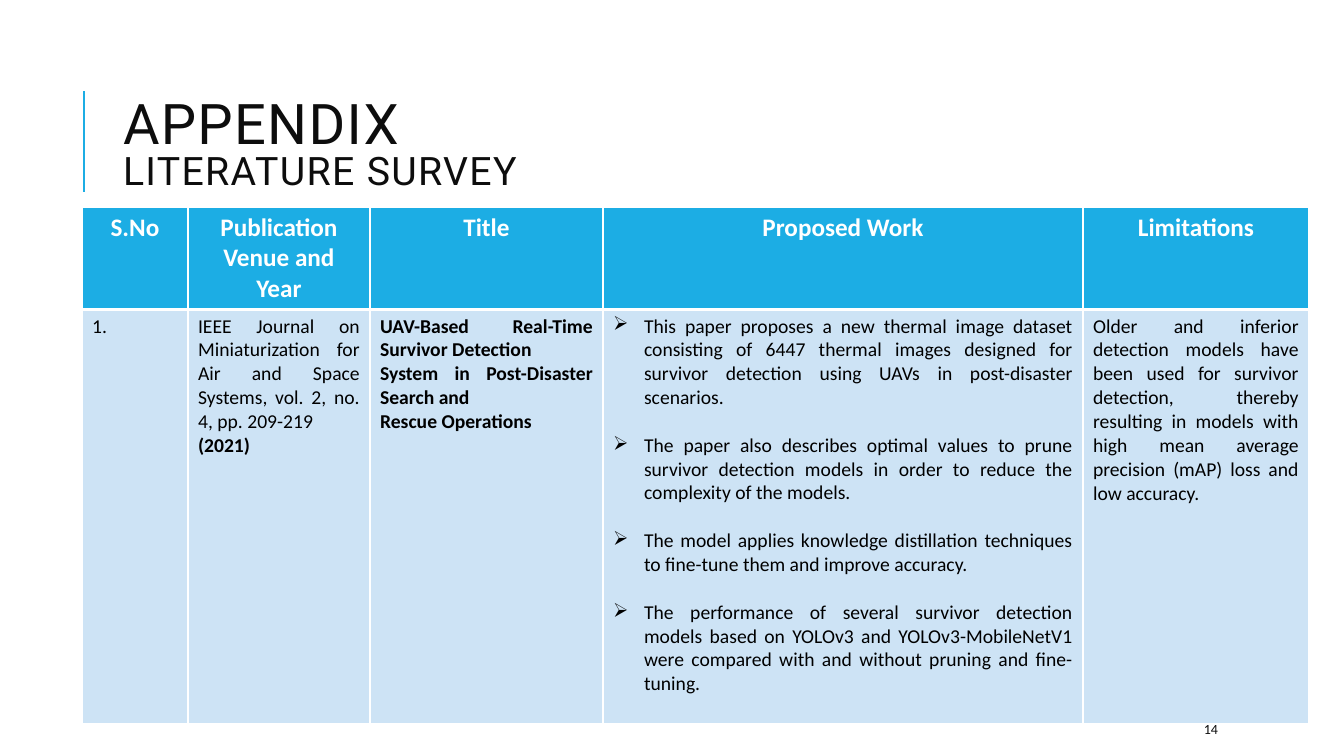
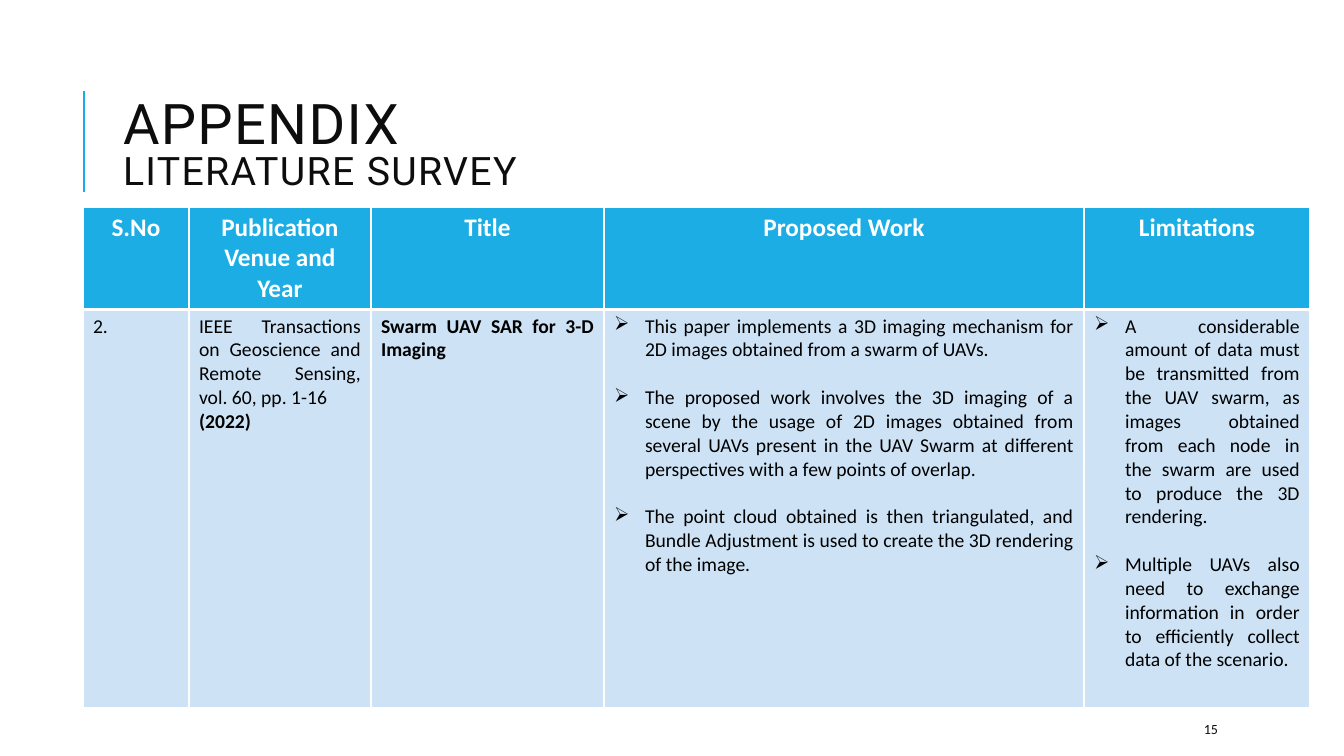
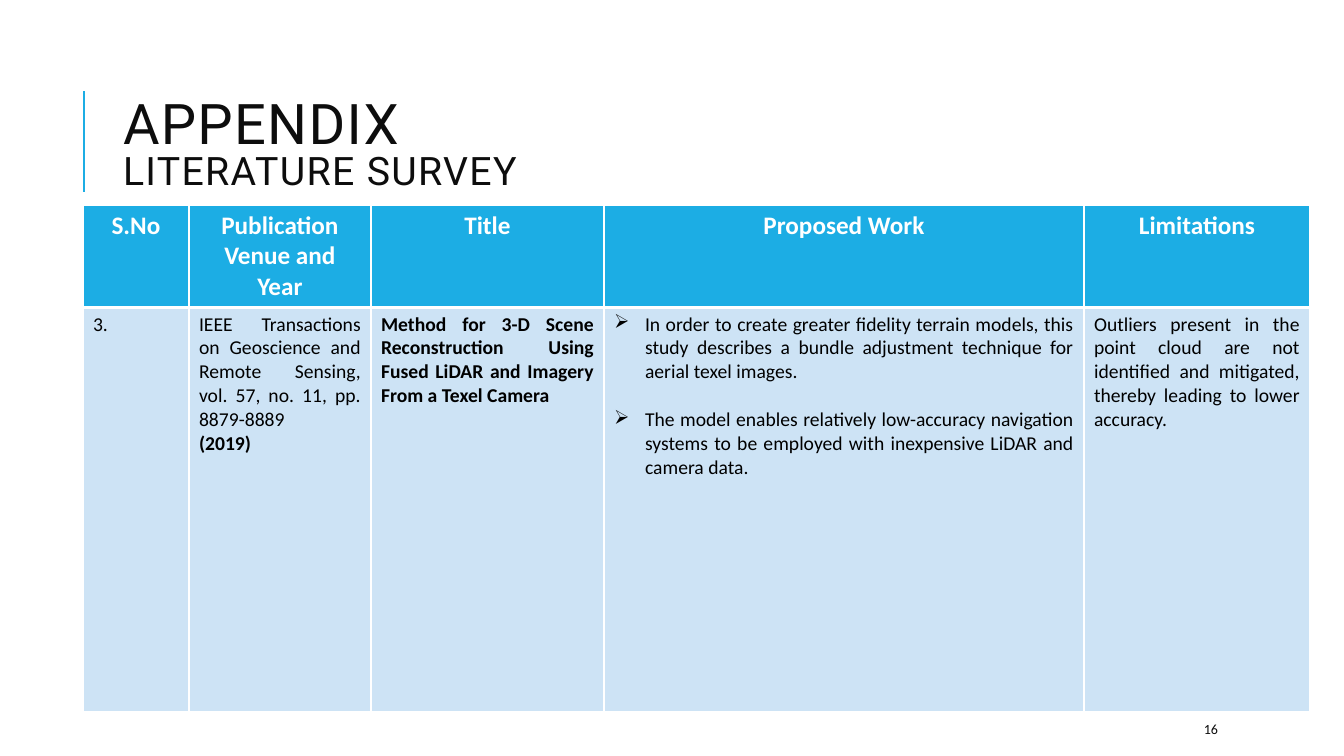
from copy import deepcopy
from dataclasses import dataclass

from lxml.etree import SubElement
from pptx import Presentation
from pptx.dml.color import RGBColor
from pptx.enum.shapes import MSO_CONNECTOR
from pptx.enum.text import MSO_ANCHOR, MSO_AUTO_SIZE, PP_ALIGN
from pptx.oxml.ns import qn
from pptx.util import Emu, Pt

# Shared style
COLORS = {
    "accent": "1CADE4",
    "body": "CDE3F5",
    "white": "FFFFFF",
    "black": "000000",
    "ink": "0D0D0D",
}
TITLE_FONT = "Roboto"
TEXT_FONT = "Calibri"
EMU_PER_PX = 914400 / 100.8
COLUMN_WIDTHS = (106, 182, 233, 480, 226)
HEADINGS = ("S.No", "Publication Venue and Year", "Title", "Proposed Work", "Limitations")
BULLET_INDENT = 31
BULLET_GAP = 17


@dataclass
class Survey:
    page_number: int
    corner: tuple
    row_heights: tuple
    number: str
    venue: str
    year: str
    title_lines: list
    work: list
    limitations: list


SURVEYS = [
    Survey(
        14, (82, 207), (97, 414), "1.",
        "IEEE Journal on Miniaturization for Air and Space Systems, vol. 2, no. 4, pp. 209-219",
        "(2021)",
        ["UAV-Based Real-Time Survivor Detection",
         "System in Post-Disaster Search and",
         "Rescue Operations"],
        ["This paper proposes a new thermal image dataset consisting of 6447 thermal images "
         "designed for survivor detection using UAVs in post-disaster scenarios.",
         "The paper also describes optimal values to prune survivor detection models in order "
         "to reduce the complexity of the models.",
         "The model applies knowledge distillation techniques to fine-tune them and improve "
         "accuracy.",
         "The performance of several survivor detection models based on YOLOv3 and "
         "YOLOv3-MobileNetV1 were compared with and without pruning and fine-tuning."],
        ["Older and inferior detection models have been used for survivor detection, thereby "
         "resulting in models with high mean average precision (mAP) loss and low accuracy."],
    ),
    Survey(
        15, (83, 207), (95, 398), "2.",
        "IEEE Transactions on Geoscience and Remote Sensing, vol. 60, pp. 1-16",
        "(2022)",
        ["Swarm UAV SAR for 3-D Imaging"],
        ["This paper implements a 3D imaging mechanism for 2D images obtained from a swarm "
         "of UAVs.",
         "The proposed work involves the 3D imaging of a scene by the usage of 2D images "
         "obtained from several UAVs present in the UAV Swarm at different perspectives with "
         "a few points of overlap.",
         "The point cloud obtained is then triangulated, and Bundle Adjustment is used to "
         "create the 3D rendering of the image."],
        ["A considerable amount of data must be transmitted from the UAV swarm, as images "
         "obtained from each node in the swarm are used to produce the 3D rendering.",
         "Multiple UAVs also need to exchange information in order to efficiently collect "
         "data of the scenario."],
    ),
    Survey(
        16, (83, 205), (97, 404), "3.",
        "IEEE Transactions on Geoscience and Remote Sensing, vol. 57, no. 11, pp. 8879-8889",
        "(2019)",
        ["Method for 3-D Scene Reconstruction Using Fused LiDAR and Imagery From a Texel Camera"],
        ["In order to create greater fidelity terrain models, this study describes a bundle "
         "adjustment technique for aerial texel images.",
         "The model enables relatively low-accuracy navigation systems to be employed with "
         "inexpensive LiDAR and camera data."],
        ["Outliers present in the point cloud are not identified and mitigated, thereby "
         "leading to lower accuracy."],
    ),
]


def px(length):
    return Emu(round(length * EMU_PER_PX))


def color(name):
    return RGBColor.from_string(COLORS[name])


def style_font(font, name, size, color_name, bold=False):
    font.name = name
    font.size = Pt(size)
    font.bold = bold
    font.color.rgb = color(color_name)


# Title and its vertical rule
def add_title(page):
    title = page.shapes.title
    title.left, title.top, title.width, title.height = map(px, (113, 65, 1072, 165))
    frame = title.text_frame
    frame.word_wrap = True
    frame.auto_size = MSO_AUTO_SIZE.NONE
    frame.vertical_anchor = MSO_ANCHOR.MIDDLE
    para = frame.paragraphs[0]
    para.alignment = PP_ALIGN.LEFT
    para.line_spacing = 0.8
    for text, size in (("APPENDIX", 40), ("LITERATURE SURVEY", 28)):
        if para.runs:
            para.add_line_break()
        span = para.add_run()
        span.text = text
        style_font(span.font, TITLE_FONT, size, "ink")
        span._r.get_or_add_rPr().set("spc", "100")
    # The line break takes the size of the first line
    line_break = para._p.find(qn("a:br"))
    line_break.append(deepcopy(para.runs[0]._r.rPr))


def add_title_rule(page):
    rule = page.shapes.add_connector(MSO_CONNECTOR.STRAIGHT, px(84), px(192), px(84), px(91))
    rule.line.color.rgb = color("accent")
    rule.line.width = Pt(1.5)
    SubElement(rule._element.spPr, qn("a:effectLst"))


def add_page_number(page, number):
    box = page.shapes.add_textbox(px(1194), px(714), px(107), px(30))
    frame = box.text_frame
    frame.word_wrap = True
    frame.vertical_anchor = MSO_ANCHOR.MIDDLE
    para = frame.paragraphs[0]
    para.text = str(number)
    style_font(para.font, TEXT_FONT, 10, "ink")


# Table cells
def set_borders(cell, top, bottom):
    properties = cell._tc.get_or_add_tcPr()
    for side, width in (("lnL", 1), ("lnR", 1), ("lnT", top), ("lnB", bottom)):
        line = SubElement(properties, qn(f"a:{side}"), w=str(Pt(width)))
        fill = SubElement(line, qn("a:solidFill"))
        SubElement(fill, qn("a:srgbClr"), val=COLORS["white"])


def fill_cell(cell, fill_name):
    cell.fill.solid()
    cell.fill.fore_color.rgb = color(fill_name)


def add_bullet(para):
    properties = para._p.get_or_add_pPr()
    properties.set("marL", str(px(BULLET_INDENT)))
    properties.set("indent", str(-px(BULLET_INDENT)))
    SubElement(properties, qn("a:buChar"), char="➢")


def write_cell(cell, lines, alignment=PP_ALIGN.JUSTIFY, size=14, color_name="black",
               bold_lines=(), bulleted=False):
    frame = cell.text_frame
    for index, text in enumerate(lines):
        para = frame.add_paragraph() if index else frame.paragraphs[0]
        para.text = text
        para.alignment = alignment
        if bulleted:
            add_bullet(para)
            if index:
                para.space_before = Pt(BULLET_GAP)
        style_font(para.font, TEXT_FONT, size, color_name, text in bold_lines)


def add_survey_table(page, survey):
    left, top = survey.corner
    table = page.shapes.add_table(
        2, len(HEADINGS), px(left), px(top),
        px(sum(COLUMN_WIDTHS)), px(sum(survey.row_heights))).table
    table.horz_banding = False
    for column, width in zip(table.columns, COLUMN_WIDTHS):
        column.width = px(width)
    for row, height in zip(table.rows, survey.row_heights):
        row.height = px(height)

    # Header row
    for index, heading in enumerate(HEADINGS):
        header, body = table.cell(0, index), table.cell(1, index)
        set_borders(header, 1, 3)
        set_borders(body, 3, 1)
        fill_cell(header, "accent")
        fill_cell(body, "body")
        write_cell(header, [heading], PP_ALIGN.CENTER, 18, "white", [heading])

    # Body row
    number, venue, title, work, limitations = table.rows[1].cells
    write_cell(number, [survey.number], PP_ALIGN.LEFT)
    write_cell(venue, [survey.venue, survey.year], bold_lines=[survey.year])
    write_cell(title, survey.title_lines, bold_lines=survey.title_lines)
    write_cell(work, survey.work, bulleted=True)
    write_cell(limitations, survey.limitations, bulleted=len(survey.limitations) > 1)


def main():
    deck = Presentation()
    deck.slide_width, deck.slide_height = px(1344), px(756)
    title_only = deck.slide_layouts[5]
    for survey in SURVEYS:
        page = deck.slides.add_slide(title_only)
        add_title_rule(page)
        add_title(page)
        add_survey_table(page, survey)
        add_page_number(page, survey.page_number)
    deck.save("out.pptx")


if __name__ == "__main__":
    main()
